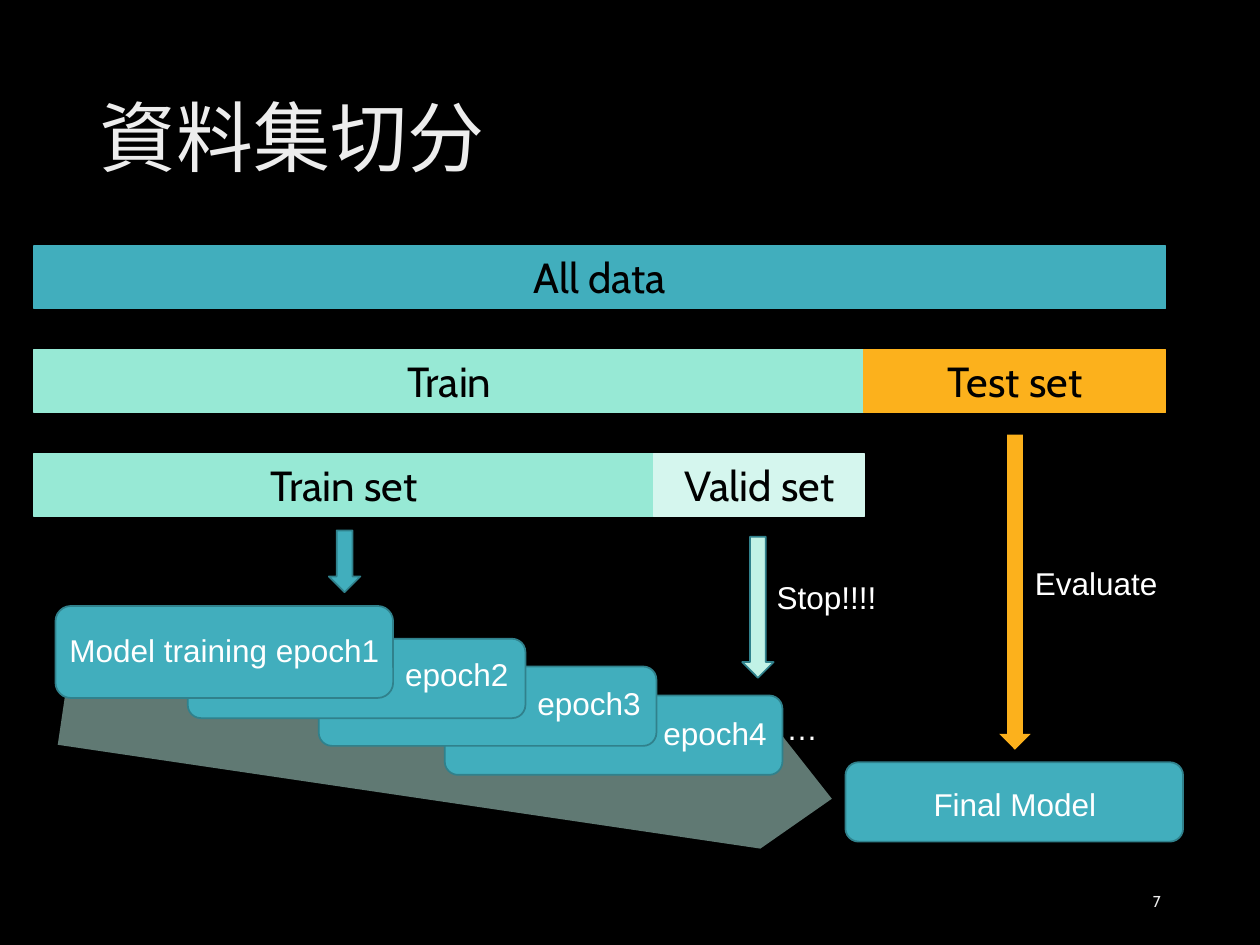
"""Build the dataset split slide: data bars, training epochs and final model."""
import pptx
import pptx.dml.color
import pptx.enum.shapes
import pptx.enum.text
import pptx.oxml
import pptx.oxml.ns
import pptx.util

Inches = pptx.util.Inches
SHAPE = pptx.enum.shapes.MSO_SHAPE
ALIGN = pptx.enum.text.PP_ALIGN
ANCHOR = pptx.enum.text.MSO_ANCHOR
AUTO = pptx.enum.text.MSO_AUTO_SIZE

COLORS = {
    "black": "000000", "white": "FFFFFF", "title": "EDEDED",
    "teal": "41AEBD", "edge": "30818C", "mint": "97E9D5",
    "pale": "D5F6EE", "ice": "C1F2E6", "orange": "FCB11C",
}
LABEL = {"size": 18, "name": "Arial", "color": "white"}
BAR = {"size": 24, "name": "Cabin", "color": "black"}
TITLE = {"size": 44, "name": "Noto Sans CJK SC", "color": "title"}
NUMBER = {"size": 9, "name": "Cabin", "color": "title"}

BAR_LEFT, BAR_TOP, BAR_STEP, BAR_HEIGHT = 0.27, 1.95, 0.825, 0.5
BAR_ROWS = [
    [("All data", 8.98, "teal")],
    [("Train", 6.59, "mint"), ("Test set", 2.39, "orange")],
    [("Train set", 4.92, "mint"), ("Valid set", 1.67, "pale")],
]
CARD_WIDTH, LABEL_HEIGHT, ARROW_WIDTH = 2.68, 0.4, 0.25
BACK_EPOCHS = [
    ("epoch4", 3.53, 5.52, 5.16, 5.62, 1.03),
    ("epoch3", 2.53, 5.29, 4.16, 5.38, 1.03),
    ("epoch2", 1.49, 5.07, 3.06, 5.15, 1.13),
]
FRONT_CARDS = [
    ("Model training epoch1", 0.44, 4.81, 0.73, 0.44, 4.96, 2.68),
    ("Final Model", 6.71, 6.05, 0.63, 7.3, 6.18, 1.51),
]
ARROWS = [
    (2.61, 4.21, 0.49, "teal", "edge"),
    (5.89, 4.26, 1.12, "ice", "edge"),
    (7.93, 3.45, 2.5, "orange", None),
]
NOTES = [("…", 6.14, 5.58, 0.45), ("Stop!!!!", 6.06, 4.54, 1), ("Evaluate", 8.11, 4.43, 1.18)]


def rgb(name):
    return pptx.dml.color.RGBColor.from_string(COLORS[name])


def write(sp, text, style, align=ALIGN.CENTER, **frame):
    tf = sp.text_frame
    for key, value in frame.items():
        setattr(tf, key, value)
    p = tf.paragraphs[0]
    p.alignment = align
    r = p.add_run()
    r.text = text
    for key, value in {"size": pptx.util.Pt(style["size"]), "name": style["name"]}.items():
        setattr(r.font, key, value)
    r.font.color.rgb = rgb(style["color"])
    ea = pptx.oxml.parse_xml(f'<a:ea {pptx.oxml.ns.nsdecls("a")} typeface="{style["name"]}"/>')
    r.font._element.append(ea)
    return p


def add_shape(slide, kind, box, fill, line=None):
    sp = slide.shapes.add_shape(kind, *map(Inches, box))
    sp.shadow.inherit = False
    sp.fill.solid()
    sp.fill.fore_color.rgb = rgb(fill)
    if line:
        sp.line.color.rgb = rgb(line)
        sp.line.width = pptx.util.Pt(1)
    else:
        sp.line.fill.background()
    return sp


def add_text(slide, text, box, style, **options):
    return write(slide.shapes.add_textbox(*map(Inches, box)), text, style, **options)


def add_label(slide, text, x, y, width):
    add_text(slide, text, (x, y, width, LABEL_HEIGHT), LABEL,
             word_wrap=False, auto_size=AUTO.SHAPE_TO_FIT_TEXT)


def add_card(slide, x, y, height):
    add_shape(slide, SHAPE.ROUNDED_RECTANGLE, (x, y, CARD_WIDTH, height), "teal", "edge")


def add_progress(slide):
    sp = add_shape(slide, SHAPE.DOWN_ARROW, (3.09, 2.82, 0.95, 6.14), "ice")
    sp.rotation = 278.4
    sp.adjustments[0], sp.adjustments[1] = 1, 0.53
    color = sp.fill._xPr.find(".//" + pptx.oxml.ns.qn("a:srgbClr"))
    color.append(pptx.oxml.parse_xml(f'<a:alpha {pptx.oxml.ns.nsdecls("a")} val="50000"/>'))


def add_bars(slide):
    for row, bars in enumerate(BAR_ROWS):
        x = BAR_LEFT
        for text, width, color in bars:
            box = (x, BAR_TOP + row * BAR_STEP, width, BAR_HEIGHT)
            sp = add_shape(slide, SHAPE.RECTANGLE, box, color, color)
            write(sp, text, BAR, word_wrap=True, vertical_anchor=ANCHOR.TOP,
                  auto_size=AUTO.SHAPE_TO_FIT_TEXT)
            x += width


def main():
    prs = pptx.Presentation()
    prs.slide_width, prs.slide_height = Inches(10), Inches(7.5)
    slide = prs.slides.add_slide(prs.slide_layouts[6])
    slide.background.fill.solid()
    slide.background.fill.fore_color.rgb = rgb("black")

    add_progress(slide)
    for text, x, y, text_x, text_y, text_width in BACK_EPOCHS:
        add_card(slide, x, y, 0.63)
        add_label(slide, text, text_x, text_y, text_width)
    middle = {"word_wrap": True, "vertical_anchor": ANCHOR.MIDDLE}
    p = add_text(slide, "資料集切分", (0.69, 0.4, 8.62, 1.45), TITLE, align=ALIGN.LEFT, **middle)
    p.line_spacing = 0.9
    add_text(slide, "7", (7.06, 6.95, 2.25, 0.4), NUMBER, align=ALIGN.RIGHT, **middle)
    add_bars(slide)
    for x, y, height, fill, line in ARROWS:
        add_shape(slide, SHAPE.DOWN_ARROW, (x, y, ARROW_WIDTH, height), fill, line)
    for text, x, y, height, *label in FRONT_CARDS:
        add_card(slide, x, y, height)
        add_label(slide, text, *label)
    for note in NOTES:
        add_label(slide, *note)
    prs.save("out.pptx")


if __name__ == "__main__":
    main()
